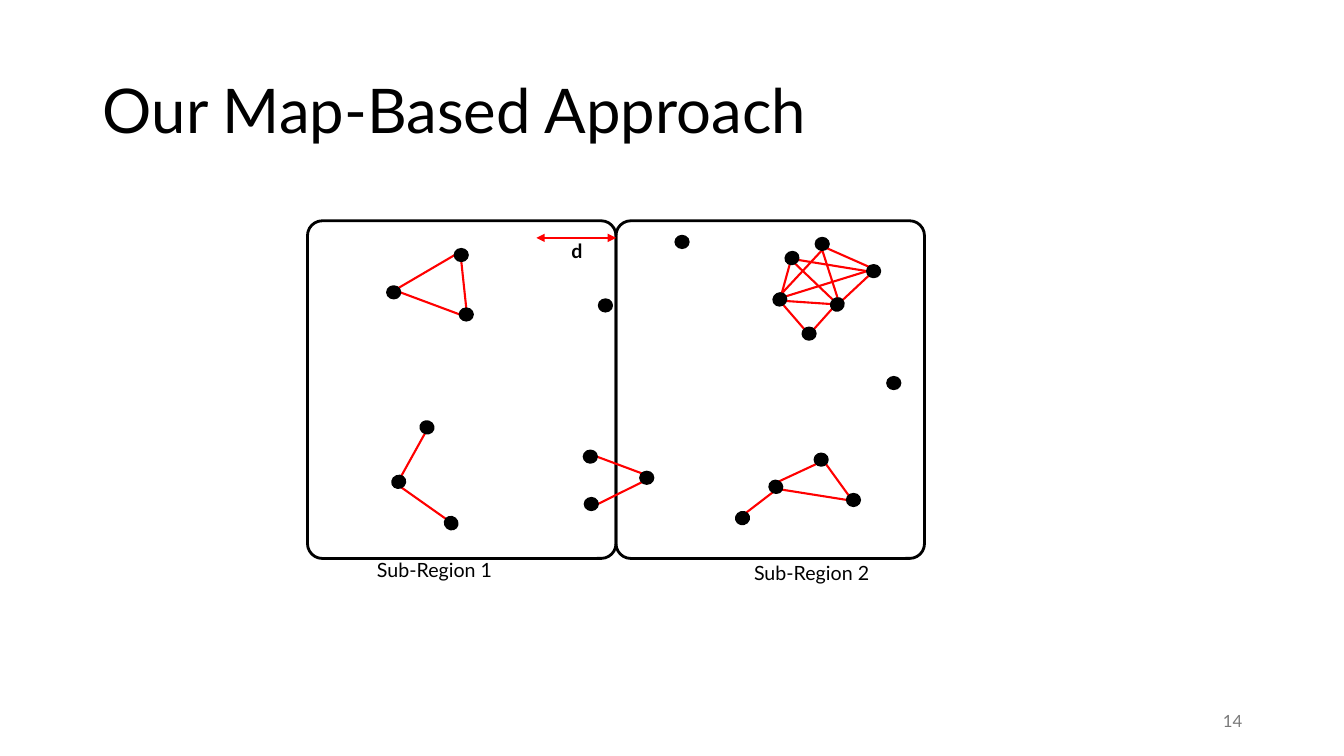
from math import cos, radians, sin

from lxml import etree
from pptx import Presentation
from pptx.dml.color import RGBColor
from pptx.enum.shapes import MSO_CONNECTOR, MSO_SHAPE
from pptx.enum.text import MSO_ANCHOR, PP_ALIGN
from pptx.oxml.ns import qn
from pptx.util import Inches, Pt

STRAIGHT = MSO_CONNECTOR.STRAIGHT
OVAL, ROUNDED = MSO_SHAPE.OVAL, MSO_SHAPE.ROUNDED_RECTANGLE
TOP, MIDDLE = MSO_ANCHOR.TOP, MSO_ANCHOR.MIDDLE
LEFT, RIGHT = PP_ALIGN.LEFT, PP_ALIGN.RIGHT

COLORS = {"ink": "000000", "edge": "FF0000", "muted": "797979"}
FONT = "Lato"
CELL = 0.1  # inches; the slide is a grid of 133.3 columns by 75 rows
COLUMNS, ROWS = 133.3, 75
NODE_WIDTH, NODE_HEIGHT = 1.3, 1.2
COMPASS = {name: 45 * step for step, name in
           enumerate(("n", "ne", "e", "se", "s", "sw", "w", "nw"))}

REGION_LEFT, REGION_TOP = 30.5, 21.9
REGION_WIDTH, REGION_HEIGHT = 30.6, 33.5
BORDER = REGION_LEFT + REGION_WIDTH

# Node: column and row of its centre, rotation in degrees
NODES = {
    "triangle west": (39.05, 29, 0),
    "triangle north": (45.75, 25.3, 0),
    "triangle south": (46.25, 31.2, 0),
    "chain top": (42.35, 42.4, 17.2),
    "chain middle": (39.55, 47.8, -22.9),
    "chain end": (44.75, 51.9, 41.4),
    "bridge upper": (58.55, 45.3, 0),
    "bridge lower": (58.65, 50, 0),
    "bridge east": (64.15, 47.4, 0),
    "cluster northwest": (78.55, 25.6, -26.5),
    "cluster north": (81.55, 24.2, 0),
    "cluster east": (86.65, 26.9, 0),
    "cluster southeast": (83.05, 30.2, -41.5),
    "cluster southwest": (77.35, 29.7, -29.1),
    "cluster bottom": (80.25, 33.1, 0),
    "kite tail": (73.65, 51.4, -14.1),
    "kite west": (76.95, 48.3, 27.1),
    "kite north": (81.45, 45.6, 0),
    "kite east": (84.65, 49.6, 0),
    "loner by border": (60.05, 30.3, 0),
    "loner north": (67.65, 24, 0),
    "loner east": (88.65, 38, 0),
}

# Edges by group: start node, its connection site, end node, its site
EDGES = {
    "triangle": ("north s south n", "west e south w", "north w west ne"),
    "chain": ("top s middle ne", "end w middle s"),
    "bridge": ("upper e east nw", "east sw lower e"),
    "cluster": (
        "north se east nw", "north s southeast ne", "north s southwest ne",
        "northwest se east w", "northwest sw southwest ne",
        "northwest s southeast n", "southwest se southeast nw",
        "southwest e east w", "southwest s bottom nw",
        "east sw southeast e", "southeast w bottom ne"),
    "kite": ("west s tail ne", "north sw west n", "north se east nw",
             "west e east w"),
}


def grid(cells):
    return Inches(cells * CELL)


def color(name):
    return RGBColor.from_string(COLORS[name])


class MapSlide:
    def __init__(self, deck):
        self.slide = deck.slides.add_slide(deck.slide_layouts[5])
        self.shapes = self.slide.shapes

    def set_text(self, frame, words, size, ink="ink", bold=False, align=LEFT,
                 anchor=TOP):
        frame.text = words
        frame.word_wrap = True
        frame.vertical_anchor = anchor
        paragraph = frame.paragraphs[0]
        paragraph.alignment = align
        font = paragraph.font
        font.name, font.size, font.bold = FONT, Pt(size), bold
        font.color.rgb = color(ink)
        return paragraph

    def title(self, words, left, top, width, height):
        title = self.shapes.title
        title.left, title.top = grid(left), grid(top)
        title.width, title.height = grid(width), grid(height)
        paragraph = self.set_text(title.text_frame, words, 44, anchor=MIDDLE)
        paragraph.line_spacing = 0.9

    def label(self, words, left, top, width, height, size=14, **style):
        box = self.shapes.add_textbox(*map(grid, (left, top, width, height)))
        self.set_text(box.text_frame, words, size, **style)

    def outline(self, kind, left, top, width, height, weight):
        shape = self.shapes.add_shape(
            kind, *map(grid, (left, top, width, height)))
        shape.shadow.inherit = False
        shape.fill.background()
        shape.line.color.rgb = color("ink")
        shape.line.width = Pt(weight)
        return shape

    def region(self, left):
        frame = self.outline(ROUNDED, left, REGION_TOP, REGION_WIDTH,
                             REGION_HEIGHT, 2)
        frame.adjustments[0] = 0.048

    def node(self, column, row, rotation):
        dot = self.outline(OVAL, column - NODE_WIDTH / 2,
                           row - NODE_HEIGHT / 2, NODE_WIDTH, NODE_HEIGHT, 1.5)
        dot.fill.solid()
        dot.fill.fore_color.rgb = color("ink")
        dot.rotation = rotation

    def line(self, start, end, weight=1.5, arrows=False):
        link = self.shapes.add_connector(STRAIGHT, *map(grid, start + end))
        link.line.color.rgb = color("edge")
        link.line.width = Pt(weight)
        properties = link._element.spPr
        if arrows:
            stroke = properties.find(qn("a:ln"))
            for side in ("a:headEnd", "a:tailEnd"):
                etree.SubElement(stroke, qn(side), type="triangle")
        etree.SubElement(properties, qn("a:effectLst"))


def site(node, direction):
    """Point on a node's rim in a compass direction, turned with the node."""
    column, row, rotation = NODES[node]
    angle = radians(COMPASS[direction] + rotation)
    return (column + NODE_WIDTH / 2 * sin(angle),
            row - NODE_HEIGHT / 2 * cos(angle))


def main():
    deck = Presentation()
    deck.slide_width, deck.slide_height = grid(COLUMNS), grid(ROWS)
    page = MapSlide(deck)
    page.title("Our Map-Based Approach", 9.2, 4, 115, 14.5)
    for left in (BORDER, REGION_LEFT):
        page.region(left)
    page.label("Sub-Region 1", 36.4, 54.9, 16.5, 3.4)
    page.label("Sub-Region 2", 73.8, 55.2, 16.5, 3.4)
    page.line((53.2, 23.6), (BORDER, 23.6), weight=1, arrows=True)
    page.label("d", 55.7, 23.2, 3, 3.4, bold=True)
    for group, edges in EDGES.items():
        for edge in edges:
            start, start_site, end, end_site = edge.split()
            page.line(site(f"{group} {start}", start_site),
                      site(f"{group} {end}", end_site))
    for place in NODES.values():
        page.node(*place)
    page.label("14", 94.2, 69.5, 30, 4, size=12, ink="muted", align=RIGHT,
               anchor=MIDDLE)
    deck.save("out.pptx")


if __name__ == "__main__":
    main()
